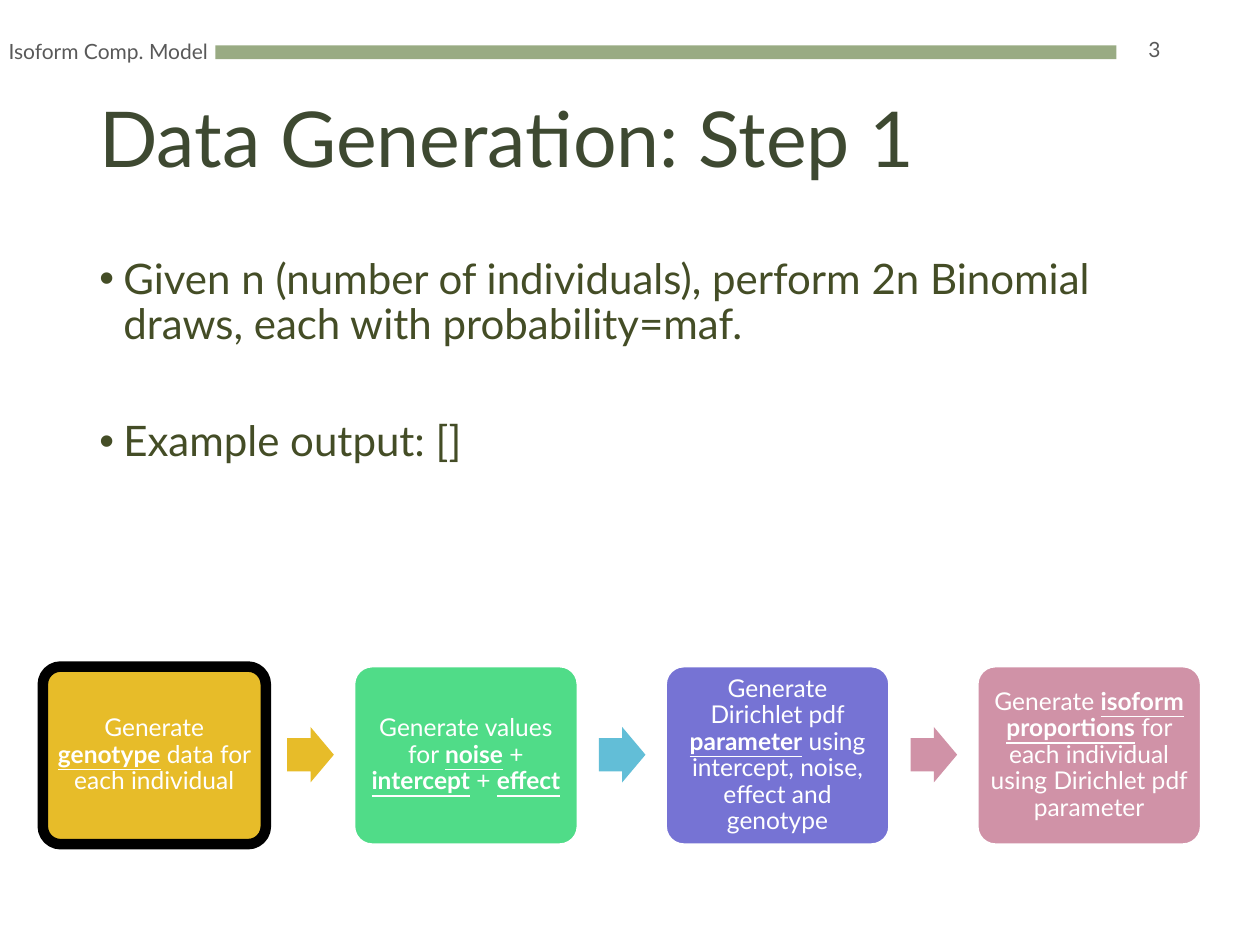
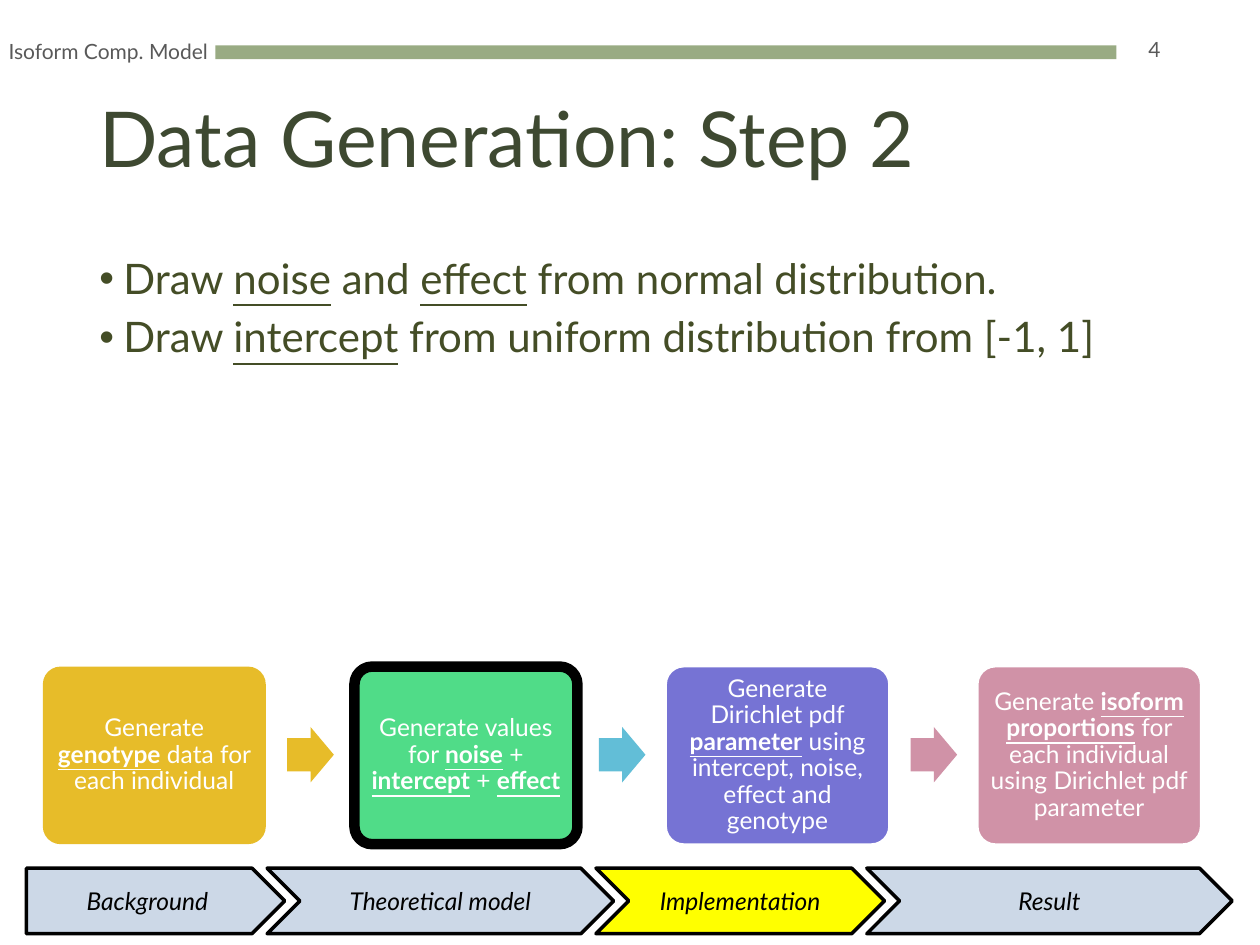
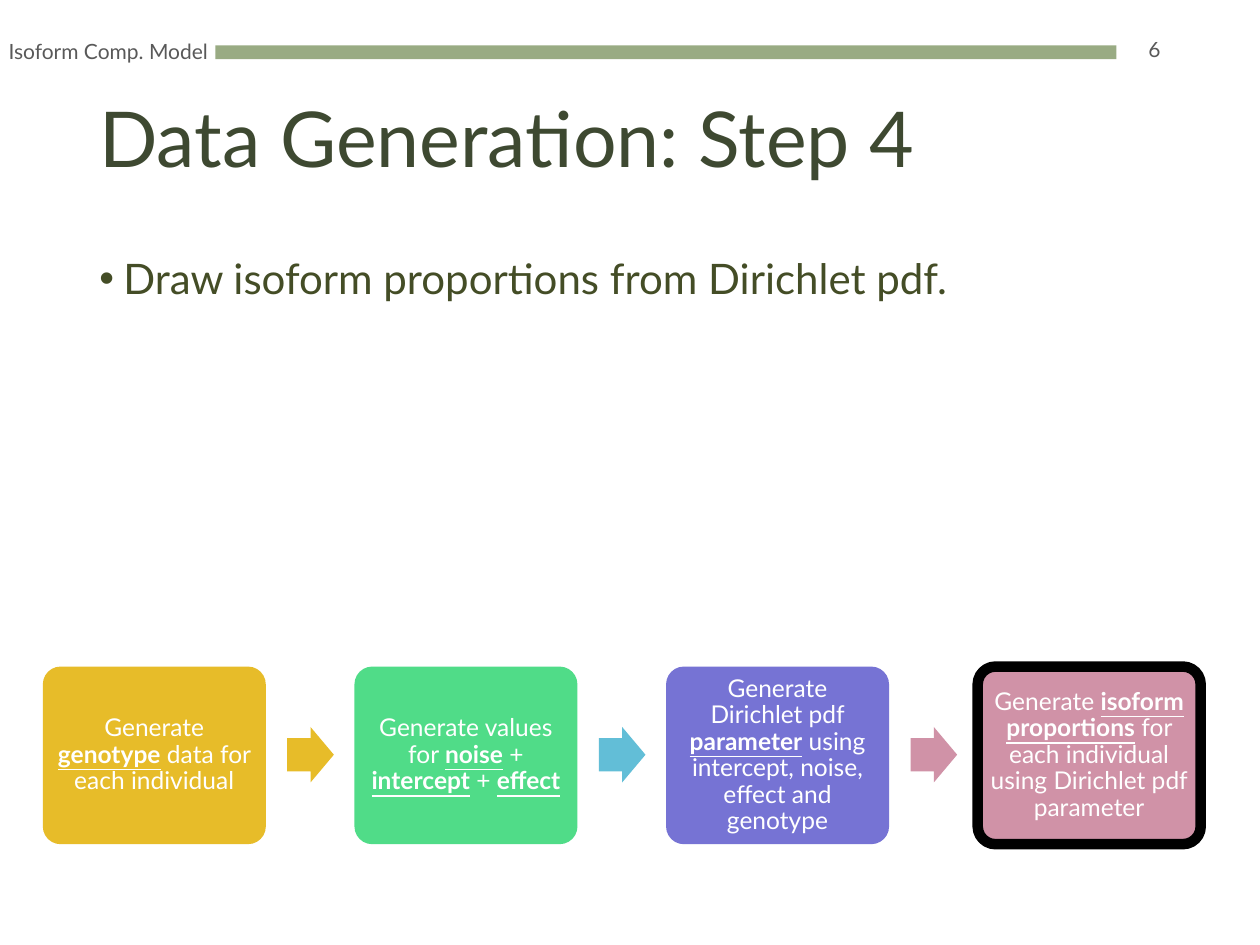
from dataclasses import dataclass

from lxml import etree
from pptx import Presentation
from pptx.dml.color import RGBColor
from pptx.enum.shapes import MSO_SHAPE
from pptx.enum.text import MSO_ANCHOR, PP_ALIGN
from pptx.oxml.ns import qn
from pptx.util import Inches, Pt

FONT = "Lato"
BLACK = RGBColor(0x00, 0x00, 0x00)
WHITE = RGBColor(0xFF, 0xFF, 0xFF)
BAND_GREEN = RGBColor(0x99, 0xAB, 0x83)
TITLE_GREEN = RGBColor(0x3E, 0x49, 0x31)
BODY_GREEN = RGBColor(0x44, 0x4D, 0x26)
HEADER_GRAY = RGBColor(0x59, 0x59, 0x59)
GOLD = RGBColor(0xE7, 0xBC, 0x29)
MINT = RGBColor(0x50, 0xDC, 0x88)
SKY = RGBColor(0x62, 0xBE, 0xD7)
VIOLET = RGBColor(0x76, 0x73, 0xD4)
ROSE = RGBColor(0xD0, 0x92, 0xA7)
PALE_BLUE = RGBColor(0xCC, 0xD8, 0xE7)
YELLOW = RGBColor(0xFF, 0xFF, 0x00)

RECTANGLE = MSO_SHAPE.RECTANGLE
ROUNDED = MSO_SHAPE.ROUNDED_RECTANGLE
RIGHT_ARROW = MSO_SHAPE.RIGHT_ARROW
PENTAGON = MSO_SHAPE.PENTAGON
CHEVRON = MSO_SHAPE.CHEVRON
LEFT, CENTER, RIGHT = PP_ALIGN.LEFT, PP_ALIGN.CENTER, PP_ALIGN.RIGHT
TOP, MIDDLE = MSO_ANCHOR.TOP, MSO_ANCHOR.MIDDLE

FIRST_STEP_LEFT = 0.34
LAST_STEP_LEFT = 7.76
ARROW_OFFSET = 1.94
STAGE_LEFT = 0.21
STAGE_OVERLAP = 0.14


@dataclass(frozen=True)
class Style:
    """Look of a piece of text; words between asterisks are underlined."""
    size: float
    color: RGBColor
    align: PP_ALIGN = LEFT
    spacing: float = 1.0
    bold_marks: bool = False
    italic: bool = False


@dataclass(frozen=True)
class Bullet:
    """A bulleted line and the space above it in points."""
    text: str
    before: float = 7.5


@dataclass(frozen=True)
class Step:
    """A box of the step chain."""
    text: str
    color: RGBColor


@dataclass(frozen=True)
class Stage:
    """A section of the progress bar."""
    text: str
    width: float


@dataclass(frozen=True)
class StepPage:
    """Content of one slide."""
    number: int
    step: int
    bullets: tuple[Bullet, ...]
    stage: str = ""


TITLE = Style(44, TITLE_GREEN, spacing=0.9)
BODY = Style(24, BODY_GREEN, spacing=0.9)
HEADER = Style(12, HEADER_GRAY, CENTER)
PAGE_NUMBER = Style(12, HEADER_GRAY, RIGHT)
STEP = Style(14, WHITE, CENTER, 0.9, bold_marks=True)
STAGE = Style(14, BLACK, CENTER, italic=True)

STEPS = (
    Step("Generate *genotype* data for each individual", GOLD),
    Step("Generate values for *noise* + *intercept* + *effect*", MINT),
    Step("Generate Dirichlet pdf *parameter* using intercept, noise, effect and genotype", VIOLET),
    Step("Generate *isoform* *proportions* for each individual using Dirichlet pdf parameter", ROSE),
)
ARROW_COLORS = (GOLD, SKY, ROSE)
STAGES = (
    Stage("Background", 2.05),
    Stage("Theoretical model", 2.75),
    Stage("Implementation", 2.29),
    Stage("Result", 2.9),
)
PAGES = (
    StepPage(3, 1, (
        Bullet("Given n (number of individuals), perform 2n Binomial draws, "
               "each with probability=maf."),
        Bullet("Example output: []", before=41),
    )),
    StepPage(4, 2, (
        Bullet("Draw *noise* and *effect* from normal distribution."),
        Bullet("Draw *intercept* from uniform distribution from [-1, 1]"),
    ), stage="Implementation"),
    StepPage(6, 4, (Bullet("Draw isoform proportions from Dirichlet pdf."),)),
)


def write(para, text: str, style: Style) -> None:
    """Fill a paragraph, underlining the marked words."""
    para.alignment = style.align
    para.line_spacing = style.spacing
    for index, part in enumerate(text.split("*")):
        if not part:
            continue
        span = para.add_run()
        span.text = part
        font = span.font
        font.name, font.size, font.color.rgb = FONT, Pt(style.size), style.color
        font.italic = style.italic
        marked = index % 2 == 1
        font.underline = marked
        font.bold = marked and style.bold_marks


def add_text(page, left: float, top: float, width: float, height: float,
             anchor: MSO_ANCHOR = MIDDLE):
    """Add an empty wrapping text box and return its frame."""
    box = page.shapes.add_textbox(Inches(left), Inches(top), Inches(width), Inches(height))
    frame = box.text_frame
    frame.word_wrap = True
    frame.vertical_anchor = anchor
    return frame


def add_block(page, kind: MSO_SHAPE, left: float, top: float, width: float,
              height: float, color: RGBColor):
    """Add a flat filled shape without an outline."""
    block = page.shapes.add_shape(kind, Inches(left), Inches(top), Inches(width), Inches(height))
    block.shadow.inherit = False
    block.fill.solid()
    block.fill.fore_color.rgb = color
    block.line.fill.background()
    return block


def outline(block, color: RGBColor, width: float) -> None:
    """Give a shape a solid outline."""
    block.line.color.rgb = color
    block.line.width = Pt(width)


def label(block, text: str, style: Style) -> None:
    """Write centred text inside a shape."""
    frame = block.text_frame
    frame.word_wrap = True
    frame.vertical_anchor = MIDDLE
    write(frame.paragraphs[0], text, style)


def add_header(page, number: int, step: int) -> None:
    """Draw the band, running header, page number and title."""
    add_block(page, RECTANGLE, 1.71, 0.36, 7.15, 0.11, BAND_GREEN)
    write(add_text(page, -0.09, 0.21, 1.9, 0.4).paragraphs[0], "Isoform Comp. Model", HEADER)
    write(add_text(page, 8.85, 0.19, 0.46, 0.4).paragraphs[0], str(number), PAGE_NUMBER)
    title = add_text(page, 0.69, 0.41, 8.62, 1.45)
    write(title.paragraphs[0], f"Data Generation: Step {step}", TITLE)


def add_bullets(page, bullets: tuple[Bullet, ...]) -> None:
    """Write the bulleted body text."""
    frame = add_text(page, 0.69, 2, 8.62, 4.76, TOP)
    for index, bullet in enumerate(bullets):
        para = frame.add_paragraph() if index else frame.paragraphs[0]
        write(para, bullet.text, BODY)
        para.space_before = Pt(bullet.before)
        properties = para._p.get_or_add_pPr()
        properties.set("marL", str(Inches(0.19)))
        properties.set("indent", str(-Inches(0.19)))
        etree.SubElement(properties, qn("a:buFont"), typeface="Arial")
        etree.SubElement(properties, qn("a:buChar"), char="•")


def add_steps(page, current: int) -> None:
    """Draw the step chain with the current step framed."""
    pitch = (LAST_STEP_LEFT - FIRST_STEP_LEFT) / (len(STEPS) - 1)
    for number, step in enumerate(STEPS, start=1):
        left = FIRST_STEP_LEFT + (number - 1) * pitch
        box = add_block(page, ROUNDED, left, 5.29, 1.77, 1.41, step.color)
        box.adjustments[0] = 0.1
        if number == current:
            outline(box, BLACK, 6)
        elif number > current:
            outline(box, WHITE, 1)
        frame = box.text_frame
        frame.margin_left = frame.margin_right = Inches(0.06)
        frame.margin_top = frame.margin_bottom = Inches(0.06)
        label(box, step.text, STEP)
    for index, color in enumerate(ARROW_COLORS):
        left = FIRST_STEP_LEFT + ARROW_OFFSET + index * pitch
        arrow = add_block(page, RIGHT_ARROW, left, 5.77, 0.37, 0.44, color)
        arrow.adjustments[0] = 0.6
        arrow.adjustments[1] = 0.5


def add_stages(page, current: str) -> None:
    """Draw the progress bar with the current section highlighted."""
    left = STAGE_LEFT
    for index, stage in enumerate(STAGES):
        color = YELLOW if stage.text == current else PALE_BLUE
        kind = CHEVRON if index else PENTAGON
        block = add_block(page, kind, left, 6.89, stage.width, 0.52, color)
        outline(block, BLACK, 2)
        label(block, stage.text, STAGE)
        left += stage.width - STAGE_OVERLAP


def main() -> None:
    """Build and save the deck."""
    deck = Presentation()
    deck.slide_width, deck.slide_height = Inches(10), Inches(7.5)
    for content in PAGES:
        page = deck.slides.add_slide(deck.slide_layouts[6])
        add_header(page, content.number, content.step)
        add_bullets(page, content.bullets)
        if content.stage:
            add_stages(page, content.stage)
        add_steps(page, content.step)
    deck.save("out.pptx")


if __name__ == "__main__":
    main()
